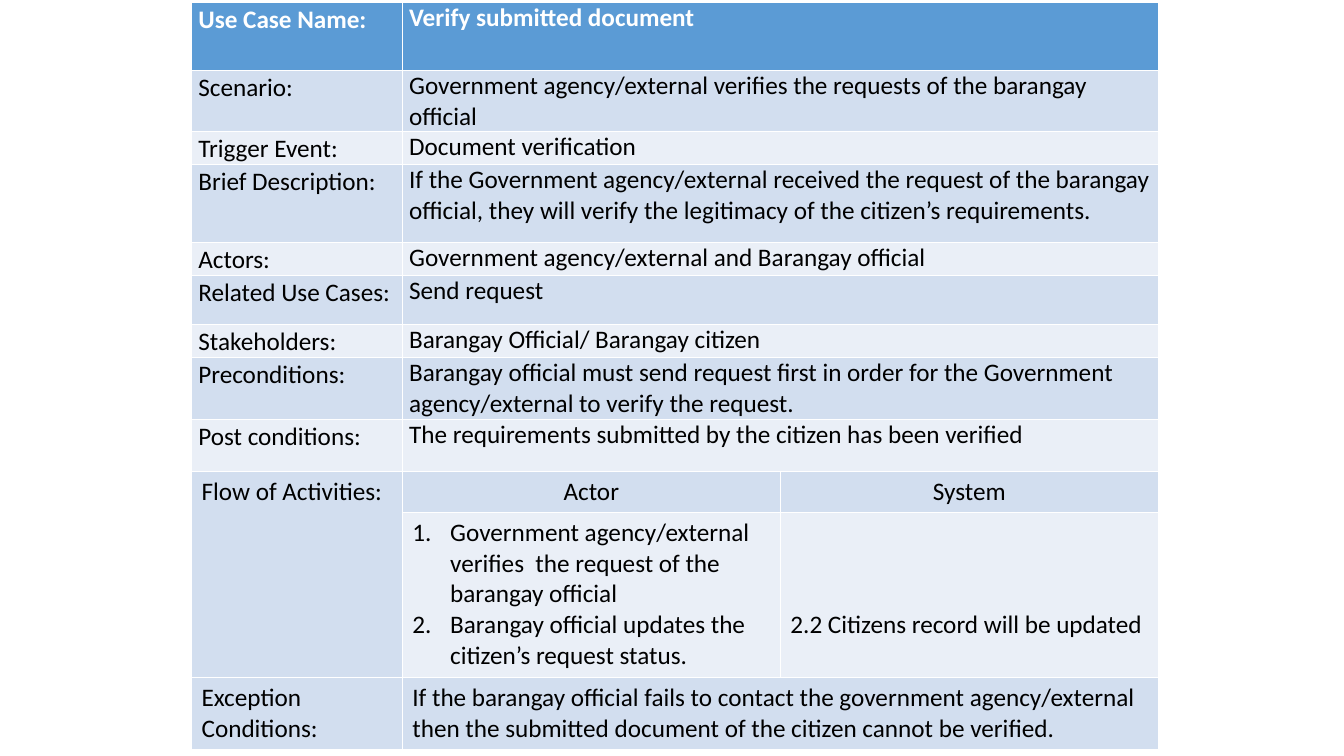
"""Build the use case slide for verifying a submitted document."""
from lxml import etree
from pptx import Presentation
from pptx.dml.color import RGBColor
from pptx.enum import text
from pptx.oxml import ns
from pptx.util import Pt


def color(code):
    return RGBColor.from_string(code)


def put(cell, words, tone="000000", bold=False):
    cell.text = words
    for para in cell.text_frame.paragraphs:
        font = para.font
        font.name, font.size, font.bold = "Calibri", Pt(18), bold
        font.color.rgb = color(tone)


deck = Presentation()
deck.slide_width, deck.slide_height = Pt(960), Pt(540)
slide = deck.slides.add_slide(deck.slide_layouts[6])

fields = [
    ("Use Case Name:", "Verify submitted document", 48.2),
    ("Scenario:", "Government agency/external verifies the requests of the barangay official", 37.4),
    ("Trigger Event:", "Document verification", 21.6),
    ("Brief Description:", "If the Government agency/external received the request of the barangay "
     "official, they will verify the legitimacy of the citizen’s requirements.", 55.4),
    ("Actors:", "Government agency/external and Barangay official", 21.6),
    ("Related Use Cases:", "Send request", 35.3),
    ("Stakeholders:", "Barangay Official/ Barangay citizen", 21.6),
    ("Preconditions:", "Barangay official must send request first in order for the Government "
     "agency/external to verify the request.", 37.4),
    ("Post conditions:", "The requirements submitted by the citizen has been verified", 37.4),
    ("Flow of Activities:", "Actor", 24.5),
    ("", "Government agency/external verifies  the request of the barangay official\n"
     "Barangay official updates the citizen’s request status.", 118.1),
    ("Exception Conditions:", "If the barangay official fails to contact the government "
     "agency/external then the submitted document of the citizen cannot be verified.", 39.6),
]
flow = 9
steps = flow + 1

frame = slide.shapes.add_table(len(fields), 3, Pt(136.8), Pt(2), Pt(691), Pt(537.8))
table = frame.table
for col, width in zip(table.columns, (150.6, 270, 270)):
    col.width = Pt(width)

for row, (label, value, height) in enumerate(fields):
    table.rows[row].height = Pt(height)
    fill = "5B9BD5" if row == 0 else ("EAEFF7", "D2DEEF")[row % 2]
    tone = "FFFFFF" if row == 0 else "000000"
    for col in range(3):
        cell = table.cell(row, col)
        cell.fill.solid()
        cell.fill.fore_color.rgb = color(fill)
        if row < flow:
            cell.margin_left = cell.margin_right = Pt(4.9)
            cell.margin_top = cell.margin_bottom = 0
    if label:
        put(table.cell(row, 0), label, tone, row == 0)
    put(table.cell(row, 1), value, tone, row == 0)
    if row < flow:
        table.cell(row, 0).text_frame.paragraphs[0].line_spacing = 1.07
    if row not in (flow, steps):
        table.cell(row, 1).merge(table.cell(row, 2))

table.cell(flow, 0).merge(table.cell(steps, 0))
put(table.cell(flow, 2), "System")
for col in (1, 2):
    table.cell(flow, col).text_frame.paragraphs[0].alignment = text.PP_ALIGN.CENTER

for para in table.cell(steps, 1).text_frame.paragraphs:
    props = para._p.get_or_add_pPr()
    props.set("marL", str(Pt(27)))
    props.set("indent", str(-Pt(27)))
    mark = etree.Element(ns.qn("a:buAutoNum"), type="arabicPeriod")
    props.insert(0, mark)

reply = table.cell(steps, 2)
put(reply, "2.2 Citizens record will be updated")
reply.margin_top = Pt(69.4)

frame.height = Pt(537.8)
deck.save("out.pptx")
